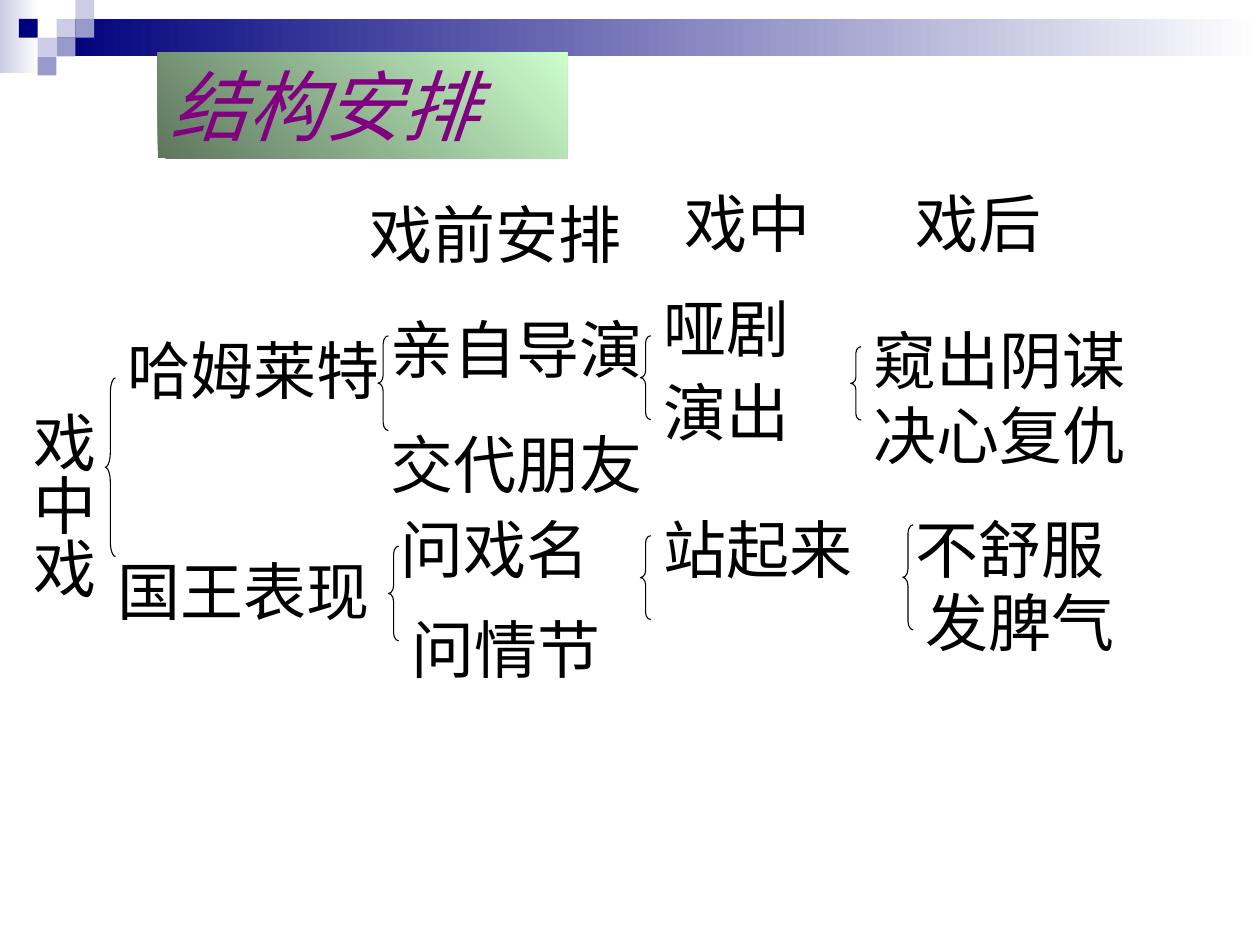
"""Build the slide on how the play within the play is structured."""
from lxml import etree
from pptx import Presentation
from pptx.dml.color import RGBColor
from pptx.enum.shapes import MSO_SHAPE
from pptx.enum.text import MSO_ANCHOR, MSO_AUTO_SIZE, PP_ALIGN
from pptx.oxml.ns import qn
from pptx.util import Cm, Pt

RECTANGLE, LEFT_BRACE = MSO_SHAPE.RECTANGLE, MSO_SHAPE.LEFT_BRACE
TOP, LEFT, NO_FIT = MSO_ANCHOR.TOP, PP_ALIGN.LEFT, MSO_AUTO_SIZE.NONE

FONT = "Noto Sans CJK KR"
BLACK = RGBColor(0x00, 0x00, 0x00)
WHITE = RGBColor(0xFF, 0xFF, 0xFF)
NAVY = RGBColor(0x00, 0x00, 0x7D)
LILAC = RGBColor(0xCC, 0xCC, 0xE6)
PERIWINKLE = RGBColor(0x99, 0x99, 0xCC)
PURPLE = RGBColor(0x80, 0x00, 0x80)
MOSS = RGBColor(0x5E, 0x76, 0x5E)
MINT = RGBColor(0xCC, 0xFF, 0xCC)

TITLE = "结构安排"
TITLE_PLACE = (3.18, 1.06, 8.26, 2.13)
BANDS = [((0, 0, 0.79, 1.47), LILAC), ((1.14, 0.38, 24.26, 0.76), NAVY)]
SQUARE = 0.38
SQUARES = [(3, 1, LILAC), (4, 0, LILAC), (4, 1, PERIWINKLE), (2, 2, LILAC),
           (1, 1, NAVY), (3, 2, PERIWINKLE), (2, 3, PERIWINKLE)]

LABEL_HEIGHT = 1.78
LABELS = [
    ("戏前安排", 7.2, 3.81, 5.92),
    ("戏中", 13.55, 3.6, 4.23),
    ("戏后", 18.2, 3.6, 6.56),
    ("哈姆莱特", 2.33, 6.56, 5.72),
    ("哑剧", 13.12, 5.72, 4.45),
    ("演出", 13.12, 7.41, 5.08),
    ("国王表现", 2.12, 11.01, 6.56),
    ("问戏名", 7.83, 10.16, 5.08),
    ("问情节", 8.04, 12.19, 4.87),
    ("站起来", 13.12, 10.16, 5.08),
    ("不舒服", 18.2, 10.16, 5.29),
    ("发脾气", 18.41, 11.64, 6.14),
]
PREPARATION = (["亲自导演", "交代朋友"], (7.62, 6.14, 5.72, 4.12))
OUTCOME = (["窥出阴谋", "决心复仇"], (17.36, 6.35, 7.2, 3.3))
ROOT = ("戏中戏", (0.12, 8.04, 2.04, 4.66))

BRACE_WIDTH = 0.21
BRACES = [(2.12, 7.62, 3.6), (7.62, 6.77, 1.91), (17.15, 6.99, 1.48),
          (7.83, 11.01, 1.91), (12.91, 10.8, 1.69), (18.2, 10.58, 2.12),
          (12.91, 6.77, 1.69)]


def lengths(place):
    return [Cm(value) for value in place]


def add_span(para, text, size=36, color=BLACK):
    span = para.add_run()
    span.text = text
    span.font.size = Pt(size)
    span.font.name = FONT
    span.font.color.rgb = color
    east_asian = etree.SubElement(span.font._element, qn("a:ea"))
    east_asian.set("typeface", FONT)
    return span


def add_label(page, lines, place, gap=0):
    box = page.shapes.add_textbox(*lengths(place))
    frame = box.text_frame
    frame.word_wrap = True
    for index, line in enumerate(lines):
        para = frame.add_paragraph() if index else frame.paragraphs[0]
        para.space_before = Pt(gap if index else 0)
        add_span(para, line)
    return frame


def fill_gradient(shape, start, end, angle):
    shape.fill.gradient()
    shape.fill.gradient_angle = angle
    for stop, color in zip(shape.fill.gradient_stops, (start, end)):
        stop.color.rgb = color


def add_block(page, place):
    block = page.shapes.add_shape(RECTANGLE, *lengths(place))
    block.shadow.inherit = False
    block.line.fill.background()
    return block


def add_decoration(page):
    for place, color in BANDS:
        fill_gradient(add_block(page, place), color, WHITE, 0)
    for column, row, color in SQUARES:
        place = (column * SQUARE, row * SQUARE, SQUARE, SQUARE)
        block = add_block(page, place)
        block.fill.solid()
        block.fill.fore_color.rgb = color


def add_title(page):
    title = page.shapes.title
    title.left, title.top, title.width, title.height = lengths(TITLE_PLACE)
    fill_gradient(title, MOSS, MINT, 45)
    frame = title.text_frame
    frame.vertical_anchor = TOP
    frame.auto_size = NO_FIT
    para = frame.paragraphs[0]
    para.alignment = LEFT
    add_span(para, TITLE, 44, PURPLE).font.italic = True
    title.element.getparent().append(title.element)


def add_root(page):
    text, place = ROOT
    frame = add_label(page, [text], place)
    frame.margin_left = frame.margin_right = Cm(0.13)
    frame.margin_top = frame.margin_bottom = Cm(0.25)
    frame._txBody.bodyPr.set("vert", "eaVert")


def add_brace(page, left, top, height):
    place = lengths((left, top, BRACE_WIDTH, height))
    brace = page.shapes.add_shape(LEFT_BRACE, *place)
    brace.adjustments[0] = height / BRACE_WIDTH / 12
    brace.shadow.inherit = False
    brace.fill.background()
    brace.line.color.rgb = BLACK
    brace.line.width = Pt(0.62)


def main():
    deck = Presentation()
    deck.slide_width, deck.slide_height = Cm(25.4), Cm(19.05)
    page = deck.slides.add_slide(deck.slide_layouts.get_by_name("Title Only"))
    add_decoration(page)
    add_title(page)
    for text, left, top, width in LABELS:
        add_label(page, [text], (left, top, width, LABEL_HEIGHT))
    add_label(page, *PREPARATION, gap=22.5)
    add_label(page, *OUTCOME)
    add_root(page)
    for brace in BRACES:
        add_brace(page, *brace)
    deck.save("out.pptx")


if __name__ == "__main__":
    main()
